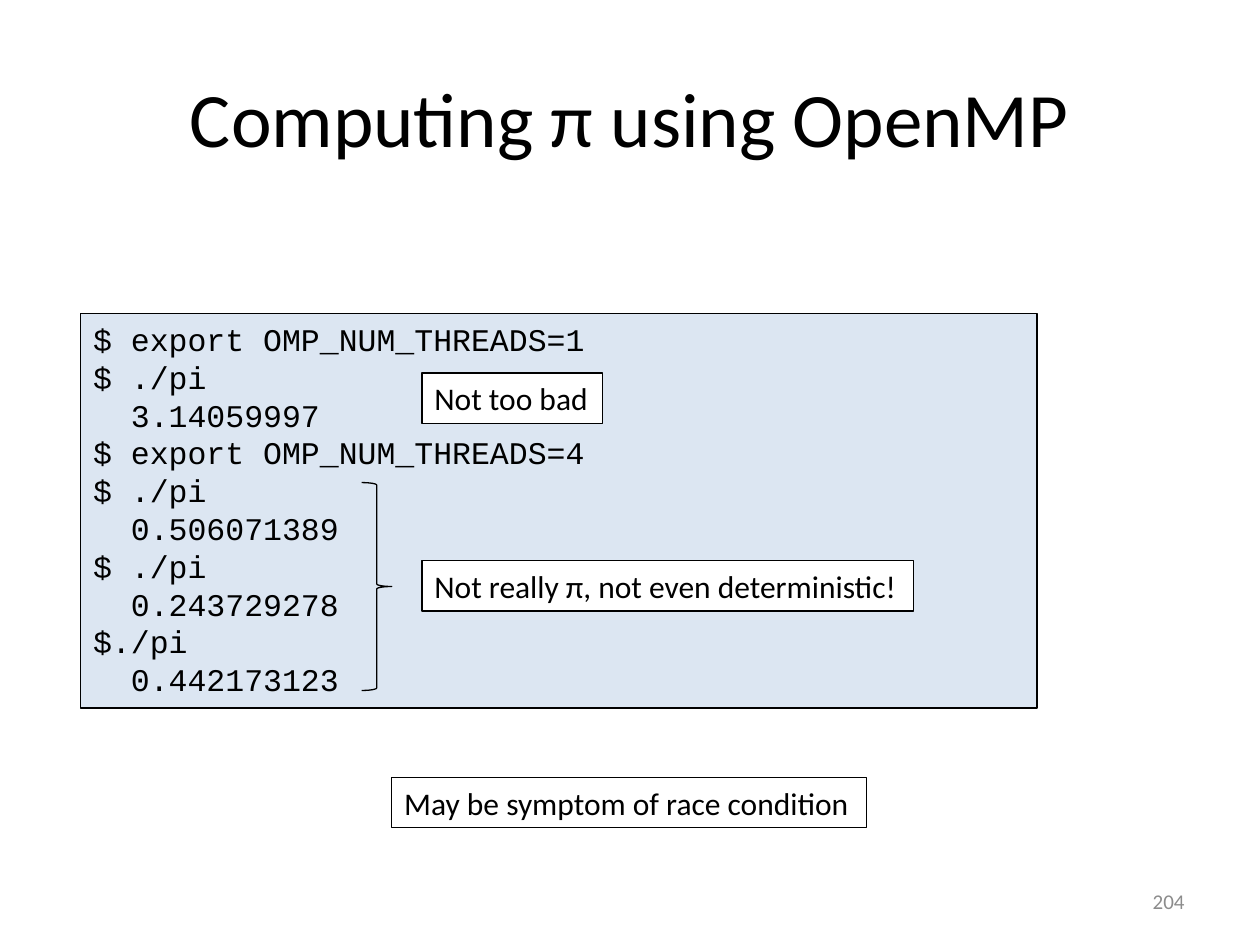
"""Build a slide on computing π with OpenMP and its race condition."""
import pptx
import pptx.dml.color
import pptx.enum.shapes
import pptx.enum.text
import pptx.util

Inches = pptx.util.Inches
Pt = pptx.util.Pt
ALIGN = pptx.enum.text.PP_ALIGN
ANCHOR = pptx.enum.text.MSO_ANCHOR
COLORS = {"text": "000000", "line": "000000", "code": "DCE6F2",
          "label": "FFFFFF", "number": "8C8C8C"}
SESSION = [
    ("$ export OMP_NUM_THREADS=1", False),
    ("$ ./pi", False),
    ("3.14059997", True),
    ("$ export OMP_NUM_THREADS=4", False),
    ("$ ./pi", False),
    ("0.506071389", True),
    ("$ ./pi", False),
    ("0.243729278", True),
    ("$./pi", False),
    ("0.442173123", True),
]


def rgb(name):
    return pptx.dml.color.RGBColor.from_string(COLORS[name])


def add_run(p, text, size, font="Calibri", color="text"):
    r = p.add_run()
    r.text = text
    r.font.size = Pt(size)
    r.font.name = font
    r.font.color.rgb = rgb(color)


def set_outline(sp):
    sp.line.color.rgb = rgb("line")
    sp.line.width = Pt(0.75)


def add_title(s, text):
    sp = s.shapes.title
    sp.left, sp.top, sp.width, sp.height = map(Inches, (0.5, 0.3, 9, 1.25))
    tf = sp.text_frame
    tf.vertical_anchor = ANCHOR.MIDDLE
    p = tf.paragraphs[0]
    p.alignment = ALIGN.CENTER
    add_run(p, text, 44)


def add_box(shapes, x, y, w, h, fill=None, wrap=False):
    sp = shapes.add_textbox(Inches(x), Inches(y), Inches(w), Inches(h))
    if fill:
        sp.fill.solid()
        sp.fill.fore_color.rgb = rgb(fill)
    set_outline(sp)
    tf = sp.text_frame
    tf.word_wrap = wrap
    tf.auto_size = pptx.enum.text.MSO_AUTO_SIZE.SHAPE_TO_FIT_TEXT
    return tf


def add_label(shapes, text, x, y, w, fill=None):
    tf = add_box(shapes, x, y, w, 0.4, fill)
    add_run(tf.paragraphs[0], text, 18)


def add_session(s):
    tf = add_box(s.shapes, 0.64, 2.49, 7.59, 3.13, "code", wrap=True)
    for i, (text, is_output) in enumerate(SESSION):
        p = tf.add_paragraph() if i else tf.paragraphs[0]
        if is_output:
            p._p.get_or_add_pPr().set("marL", str(Inches(0.3)))
        add_run(p, text, 18, "Courier New")


def add_brace(shapes, x, y, w, h):
    sp = shapes.add_shape(pptx.enum.shapes.MSO_SHAPE.RIGHT_BRACE,
                          Inches(x), Inches(y), Inches(w), Inches(h))
    sp.shadow.inherit = False
    sp.fill.background()
    set_outline(sp)


def add_slide_number(s, text):
    sp = s.shapes.add_textbox(Inches(7.17), Inches(6.95), Inches(2.33), Inches(0.4))
    tf = sp.text_frame
    tf.word_wrap = True
    tf.vertical_anchor = ANCHOR.MIDDLE
    p = tf.paragraphs[0]
    p.alignment = ALIGN.RIGHT
    add_run(p, text, 12, color="number")


def main():
    prs = pptx.Presentation()
    prs.slide_width, prs.slide_height = Inches(10), Inches(7.5)
    s = prs.slides.add_slide(prs.slide_layouts[5])
    add_title(s, "Computing π using OpenMP")
    add_slide_number(s, "204")
    add_session(s)
    add_label(s.shapes, "Not too bad", 3.35, 2.96, 1.43, "label")
    add_label(s.shapes, "May be symptom of race condition", 3.11, 6.17, 3.77)
    remark = s.shapes.add_group_shape()
    add_label(remark.shapes, "Not really π, not even deterministic!", 3.35, 4.45, 3.9, "label")
    add_brace(remark.shapes, 2.87, 3.83, 0.24, 1.65)
    prs.save("out.pptx")


if __name__ == "__main__":
    main()
